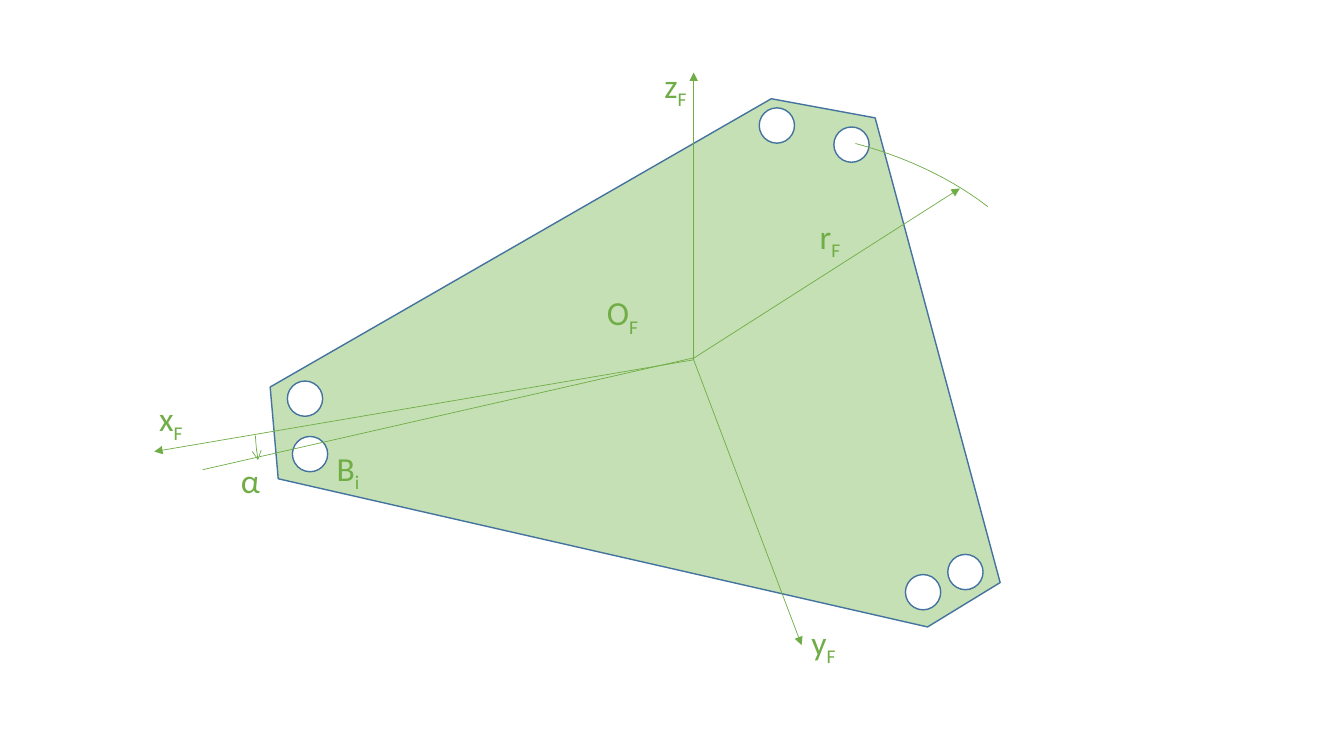
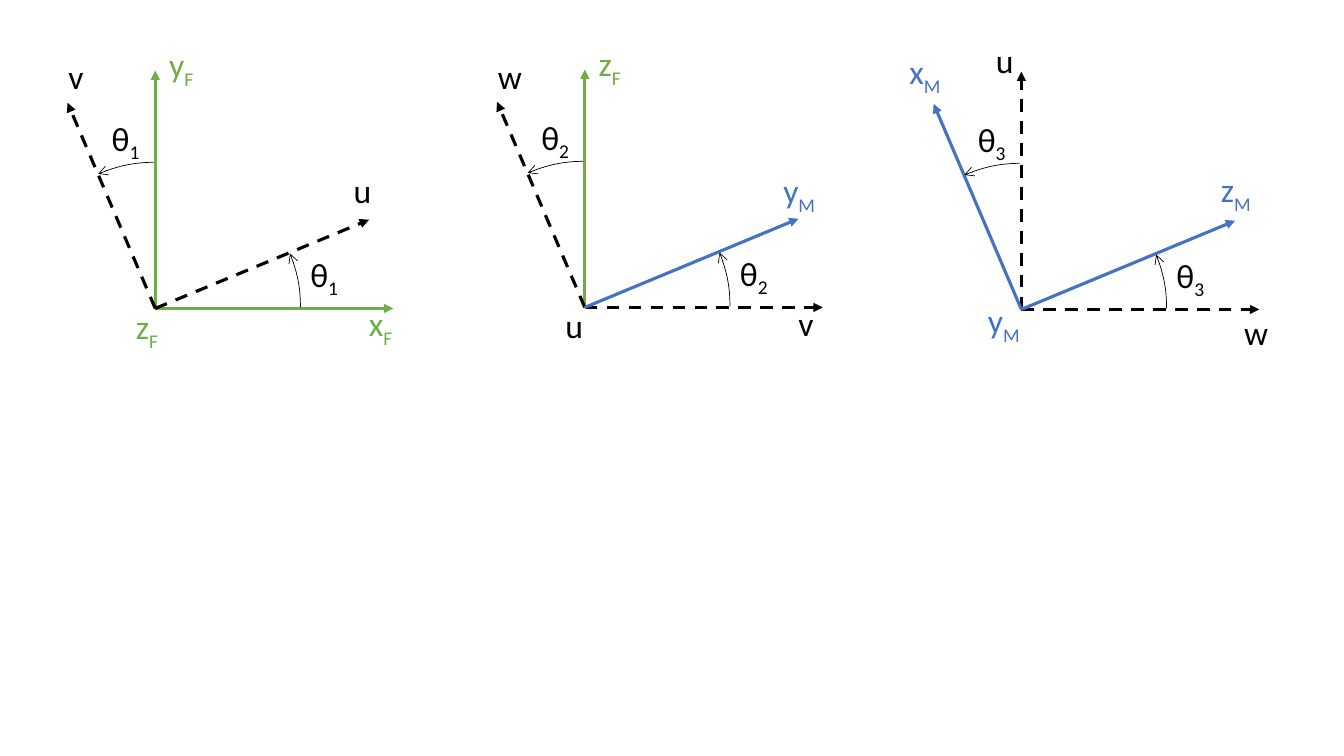
from pptx import Presentation
from pptx.dml.color import RGBColor as RGB
from pptx.enum.dml import MSO_LINE_DASH_STYLE as Dash
from pptx.enum.shapes import MSO_CONNECTOR as Link, MSO_SHAPE as Kind
from pptx.enum.text import MSO_AUTO_SIZE as Fit
from pptx.oxml.ns import qn
from pptx.oxml.xmlchemy import OxmlElement as Node
from pptx.util import Inches, Pt

GREEN, BLUE, BLACK = "70AD47", "4472C4", "000000"
PLATE, EDGE, WHITE = "C5E0B4", "43739E", "FFFFFF"

# Label box widths, by text
WIDTHS = {"xF": 0.45, "yF": 0.46, "zF": 0.44, "OF": 0.53, "rF": 0.42,
          "α": 0.39, "Bi": 0.44, "u": 0.38, "v": 0.35, "w": 0.44,
          "xM": 0.55, "yM": 0.55, "zM": 0.55}
THETA = 0.49


def rgb(code):
    return RGB.from_string(code)


class Sketch:
    font, size, thin, bold = "Calibri", 24, 0.5, 2.25

    def __init__(self):
        self.deck = Presentation()
        self.deck.slide_width = Inches(13.33)
        self.deck.slide_height = Inches(7.5)

    def page(self):
        self.shapes = self.deck.slides.add_slide(self.deck.slide_layouts[6]).shapes

    def stroke(self, shape, color, width, **ends):
        shape.line.color.rgb = rgb(color)
        shape.line.width = Pt(width)
        for end, kind in ends.items():
            tip = Node(f"a:{end}End")
            tip.set("type", kind)
            shape._element.spPr.find(qn("a:ln")).append(tip)

    def line(self, start, stop, color, width=thin, dash=False, arrow=True):
        link = self.shapes.add_connector(
            Link.STRAIGHT, *[Inches(n) for n in (*start, *stop)])
        if dash:
            link.line.dash_style = Dash.DASH
        self.stroke(link, color, width, **({"tail": "triangle"} if arrow else {}))
        link._element.spPr.append(Node("a:effectLst"))

    def shape(self, kind, box):
        item = self.shapes.add_shape(kind, *[Inches(n) for n in box])
        item.shadow.inherit = False
        return item

    def solid(self, item, fill):
        item.fill.solid()
        item.fill.fore_color.rgb = rgb(fill)
        self.stroke(item, EDGE, 1)

    def hole(self, left, top):
        self.solid(self.shape(Kind.OVAL, (left, top, 0.35, 0.35)), WHITE)

    def plate(self, points):
        dots = [(Inches(x), Inches(y)) for x, y in points]
        form = self.shapes.build_freeform(*dots[0])
        form.add_line_segments(dots[1:], close=True)
        item = form.convert_to_shape()
        item.shadow.inherit = False
        self.solid(item, PLATE)

    def arc(self, box, start, stop, color, turn=0, **ends):
        item = self.shape(Kind.ARC, box)
        # Degrees to the preset's units
        item.adjustments[0], item.adjustments[1] = start * 0.6, stop * 0.6
        item.rotation = turn
        item.fill.background()
        self.stroke(item, color, self.thin, **ends)

    def label(self, text, left, top, color):
        width = WIDTHS.get(text, THETA)
        box = self.shapes.add_textbox(*[Inches(n) for n in (left, top, width, 0.5)])
        frame = box.text_frame
        frame.word_wrap = False
        frame.auto_size = Fit.SHAPE_TO_FIT_TEXT
        para = frame.paragraphs[0]
        para.text = text[0]
        if text[1:]:
            sub = para.add_run()
            sub.text = text[1:]
            sub._r.get_or_add_rPr().set("baseline", "-25000")
        for run in para.runs:
            run.font.name = self.font
            run.font.size = Pt(self.size)
            run.font.color.rgb = rgb(color)


art = Sketch()

# Slide 1: plate with three pairs of holes
art.page()
art.plate([(2.68, 3.84), (2.76, 4.75), (9.2, 6.22), (9.92, 5.78),
           (8.68, 1.17), (7.65, 0.98)])
for spot in [(8.27, 1.26), (7.53, 1.07), (9.4, 5.5), (8.98, 5.7),
             (2.85, 3.78), (2.9, 4.33)]:
    art.hole(*spot)

# Radius arc and angle mark
art.arc((3.02, 1.27, 7.68, 5.27), 309.13, 333.62, GREEN, 354.1)
art.arc((2.52, 1.2, 8.19, 5.63), 178.18, 181.6, GREEN, 354.1, head="arrow")

# Axes, radius and line to the hole
hub = (6.88, 3.57)
for tip in [(7.95, 6.4), (1.53, 4.48), (6.88, 0.72)]:
    art.line(hub, tip, GREEN)
art.line((6.87, 3.56), (9.52, 1.87), GREEN)
art.line((6.88, 3.55), (2.01, 4.66), GREEN, arrow=False)

for text, left, top in [("xF", 1.48, 3.9), ("yF", 7.95, 6.12), ("zF", 6.49, 0.59),
                        ("OF", 5.92, 2.85), ("rF", 8.03, 2.09),
                        ("α", 2.29, 4.51), ("Bi", 3.24, 4.39)]:
    art.label(text, left, top, GREEN)

# Slide 2: three successive rotations
art.page()
# Axis tips from the origin: up, right, turned up, turned right
TIPS = [(0, -2.36), (2.36, 0), (-0.87, -2.04), (2.12, -0.88)]
# Each turn: origin, axis colours, labels
TURNS = [
    ((1.54, 3.06), (GREEN, GREEN, BLACK, BLACK),
     [("xF", 3.56, 2.96, GREEN), ("yF", 1.58, 0.39, GREEN), ("zF", 1.25, 2.99, GREEN),
      ("u", 3.41, 1.64, BLACK), ("v", 0.58, 0.51, BLACK)]),
    ((5.8, 3.05), (GREEN, BLACK, BLACK, BLUE),
     [("v", 7.82, 2.96, BLACK), ("zF", 5.84, 0.38, GREEN), ("u", 5.51, 2.98, BLACK),
      ("yM", 7.67, 1.64, BLUE), ("w", 4.84, 0.51, BLACK)]),
    ((10.13, 3.07), (BLACK, BLACK, BLUE, BLUE),
     [("u", 9.78, 0.35, BLACK), ("w", 12.24, 3.05, BLACK), ("xM", 8.92, 0.46, BLUE),
      ("zM", 12.01, 1.63, BLUE), ("yM", 9.7, 2.93, BLUE)]),
]
for count, ((x, y), colors, labels) in enumerate(TURNS, 1):
    for (dx, dy), color in zip(TIPS, colors):
        art.line((x, y), (x + dx, y + dy), color, art.bold, dash=color == BLACK)
    for start, stop in [(338.2, 0), (246.86, 269.33)]:
        art.arc((x - 1.44, y - 1.45, 2.88, 2.88), start, stop, BLACK, head="arrow")
    for dx, dy in [(1.44, -0.59), (-0.53, -1.94)]:
        art.label(f"θ{count}", x + dx, y + dy, BLACK)
    for item in labels:
        art.label(*item)

art.deck.save("out.pptx")
